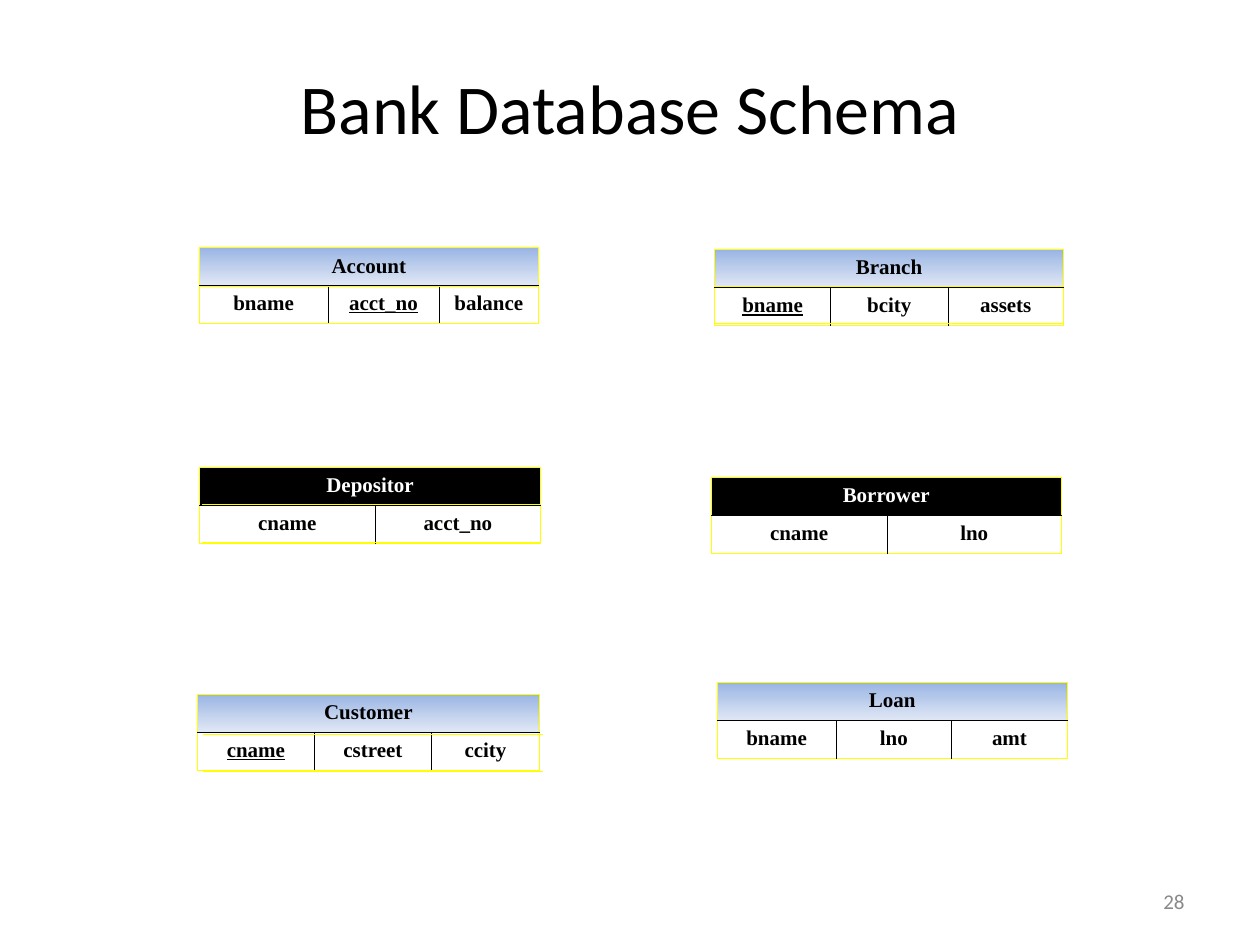
from lxml import etree
from pptx import Presentation
from pptx.dml.color import RGBColor
from pptx.enum.shapes import MSO_CONNECTOR
from pptx.enum.text import MSO_ANCHOR, PP_ALIGN
from pptx.oxml.ns import qn
from pptx.util import Pt

STRAIGHT = MSO_CONNECTOR.STRAIGHT
TOP, MIDDLE = MSO_ANCHOR.TOP, MSO_ANCHOR.MIDDLE
CENTER, RIGHT = PP_ALIGN.CENTER, PP_ALIGN.RIGHT

BLACK = RGBColor(0x00, 0x00, 0x00)
WHITE = RGBColor(0xFF, 0xFF, 0xFF)
YELLOW = RGBColor(0xFF, 0xFF, 0x00)
GRAY = RGBColor(0x89, 0x89, 0x89)
BLUE = RGBColor(0x9A, 0xB5, 0xE4)
PALE_BLUE = RGBColor(0xE1, 0xE8, 0xF5)

ROW_HEIGHT = 21.7
BORDER_WIDTH = 0.45
RULE_WIDTH = 0.75
RULE_GAP = 21.3


class SchemaSlide:
    heading_font = "Calibri"
    table_font = "Times New Roman"

    def __init__(self, deck):
        self.slide = deck.slides.add_slide(deck.slide_layouts[6])

    def style(self, paragraph, font, size, color, align, bold=False, underline=False):
        paragraph.alignment = align
        for run in paragraph.runs:
            run.font.name = font
            run.font.size = Pt(size)
            run.font.color.rgb = color
            run.font.bold = bold
            run.font.underline = underline

    def text(self, words, left, top, width, height, size, color, align):
        box = self.slide.shapes.add_textbox(Pt(left), Pt(top), Pt(width), Pt(height))
        frame = box.text_frame
        frame.word_wrap = True
        frame.vertical_anchor = MIDDLE
        frame.text = words
        self.style(frame.paragraphs[0], self.heading_font, size, color, align)

    def border(self, cell, side, color):
        properties = cell._tc.get_or_add_tcPr()
        line = etree.SubElement(properties, qn(f"a:ln{side}"), w=str(Pt(BORDER_WIDTH)))
        fill = etree.SubElement(line, qn("a:solidFill"))
        etree.SubElement(fill, qn("a:srgbClr"), val=str(color))

    def cell(self, cell, row, is_first, is_last):
        is_header = row == 0
        sides = {
            "L": YELLOW if is_first or is_header else BLACK,
            "R": YELLOW if is_last or is_header else BLACK,
            "T": YELLOW if is_header else BLACK,
            "B": BLACK if is_header else YELLOW,
        }
        for side, color in sides.items():
            self.border(cell, side, color)
        cell.fill.background()

    def relation(self, name, left, top, widths, columns, key=None, is_link=False):
        frame = self.slide.shapes.add_table(
            2, len(columns), Pt(left), Pt(top), Pt(sum(widths)), Pt(2 * ROW_HEIGHT))
        table = frame.table
        table.first_row = table.horz_banding = False
        for column, width in zip(table.columns, widths):
            column.width = Pt(width)
        last = len(columns) - 1
        for row in range(2):
            table.rows[row].height = Pt(ROW_HEIGHT)
            for index in range(len(columns)):
                self.cell(table.cell(row, index), row, index == 0, index == last)

        # Relation name across the top
        header = table.cell(0, 0)
        header.merge(table.cell(0, last))
        header.text = name
        header.vertical_anchor = MIDDLE if name == "Account" else TOP
        self.style(header.text_frame.paragraphs[0], self.table_font, 12,
                   WHITE if is_link else BLACK, CENTER, bold=True)
        if is_link:
            header.fill.solid()
            header.fill.fore_color.rgb = BLACK
        else:
            header.fill.gradient()
            header.fill.gradient_angle = 270
            for stop, color in zip(header.fill.gradient_stops, (BLUE, PALE_BLUE)):
                stop.color.rgb = color

        # Attributes, with the key underlined
        for index, attribute in enumerate(columns):
            cell = table.cell(1, index)
            cell.text = attribute
            self.style(cell.text_frame.paragraphs[0], self.table_font, 12, BLACK,
                       CENTER, bold=True, underline=attribute == key)

    def rule(self, left, top, length):
        line = self.slide.shapes.add_connector(
            STRAIGHT, Pt(left), Pt(top), Pt(left + length), Pt(top))
        line.line.color.rgb = YELLOW
        line.line.width = Pt(RULE_WIDTH)
        etree.SubElement(line._element.spPr, qn("a:effectLst"))


def main():
    deck = Presentation()
    deck.slide_width, deck.slide_height = Pt(720), Pt(540)
    schema = SchemaSlide(deck)

    # Title
    schema.text("Bank Database Schema", 0, 32.4, 720, 57, 40, BLACK, CENTER)

    # Accounts side
    schema.relation("Account", 113.8, 141.4, (73.7, 63.4, 57),
                    ("bname", "acct_no", "balance"), key="acct_no")
    schema.relation("Depositor", 114, 267.1, (100.4, 94.6),
                    ("cname", "acct_no"), is_link=True)
    schema.relation("Customer", 112.8, 396.7, (66.9, 66.9, 61.7),
                    ("cname", "cstreet", "ccity"), key="cname")

    # Loans side
    schema.relation("Branch", 408.4, 142.6, (66.2, 67.2, 66),
                    ("bname", "bcity", "assets"), key="bname")
    schema.relation("Borrower", 406.4, 273, (100.6, 99.5),
                    ("cname", "lno"), is_link=True)
    schema.relation("Loan", 409.8, 390.2, (68, 66, 66.2),
                    ("bname", "lno", "amt"))

    # Yellow rules under both rows
    for left, top, length in ((113.8, 163.6, 194.4), (115.2, 288.5, 193.7),
                              (115.9, 419.6, 194.4), (408.2, 163.6, 199.4)):
        for row in range(2):
            schema.rule(left, top + row * RULE_GAP, length)

    # Slide number
    schema.text("28", 516.2, 500.4, 167.8, 28.8, 12, GRAY, RIGHT)

    deck.save("out.pptx")


if __name__ == "__main__":
    main()
